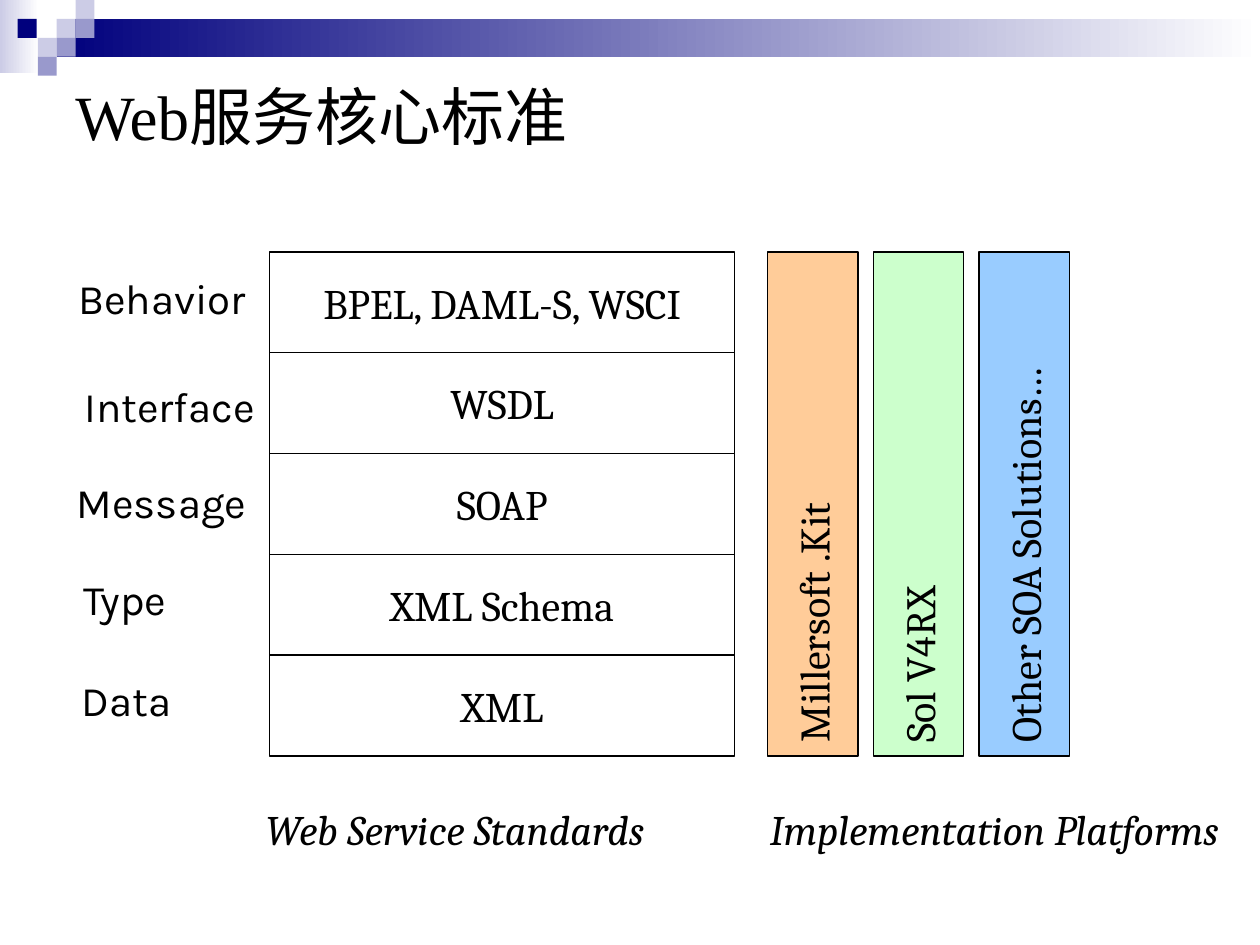
"""Build a slide of the core web service standards beside their implementation platforms."""
from dataclasses import dataclass

from pptx import Presentation
from pptx.dml.color import RGBColor
from pptx.enum.shapes import MSO_SHAPE as Shape
from pptx.enum.text import MSO_ANCHOR as Anchor, PP_ALIGN as Align
from pptx.util import Inches, Pt


@dataclass(frozen=True)
class Theme:
    ink: str = "000000"
    white: str = "FFFFFF"
    navy: str = "00007D"
    lilac: str = "CCCCE6"
    violet: str = "9999CC"
    orange: str = "FFCC99"
    green: str = "CCFFCC"
    blue: str = "99CCFF"
    title_font: str = "Times New Roman"
    label_font: str = "Karla"
    body_font: str = "Cambria"
    title_size: int = 36
    body_size: int = 24
    outline: float = 0.75


theme = Theme()


def add_box(left, top, width, height, colors=(), outlined=False):
    box = slide.shapes.add_shape(
        Shape.RECTANGLE, Inches(left), Inches(top), Inches(width), Inches(height))
    box.shadow.inherit = False
    if len(colors) == 2:
        box.fill.gradient()
        box.fill.gradient_angle = 0
        for stop, color in zip(box.fill.gradient_stops, colors):
            stop.color.rgb = RGBColor.from_string(color)
    elif colors:
        box.fill.solid()
        box.fill.fore_color.rgb = RGBColor.from_string(colors[0])
    else:
        box.fill.background()
    if outlined:
        box.line.color.rgb = RGBColor.from_string(theme.ink)
        box.line.width = Pt(theme.outline)
    else:
        box.line.fill.background()
    return box


def write(shape, text, font=theme.body_font, size=theme.body_size, italic=False,
          align=Align.LEFT, anchor=Anchor.TOP, inset_x=0.11, inset_y=0.05):
    frame = shape.text_frame
    frame.word_wrap = True
    frame.vertical_anchor = anchor
    frame.margin_left = frame.margin_right = Inches(inset_x)
    frame.margin_top = frame.margin_bottom = Inches(inset_y)
    frame.text = text
    paragraph = frame.paragraphs[0]
    paragraph.alignment = align
    run_font = paragraph.runs[0].font
    run_font.name = font
    run_font.size = Pt(size)
    run_font.italic = italic
    run_font.color.rgb = RGBColor.from_string(theme.ink)


deck = Presentation()
deck.slide_width = Inches(10)
deck.slide_height = Inches(7.5)
slide = deck.slides.add_slide(deck.slide_layouts[6])

add_box(0, 0, 0.31, 0.58, (theme.lilac, theme.white))
add_box(0.45, 0.15, 9.55, 0.3, (theme.navy, theme.white))
tile = 0.15
for left, top, color in [
    (0.45, 0.15, theme.lilac),
    (0.6, 0, theme.lilac),
    (0.6, 0.15, theme.violet),
    (0.3, 0.3, theme.lilac),
    (0.14, 0.15, theme.navy),
    (0.45, 0.3, theme.violet),
    (0.3, 0.45, theme.violet),
]:
    add_box(left, top, tile, tile, (color,))

title = slide.shapes.add_textbox(Inches(0.5), Inches(0.5), Inches(9), Inches(0.83))
write(title, "Web服务核心标准", theme.title_font, theme.title_size,
      anchor=Anchor.MIDDLE, inset_x=0.1)

for name, left, top, width in [
    ("Behavior", 0.51, 2.11, 1.69),
    ("Interface", 0.56, 2.97, 1.87),
    ("Message", 0.5, 3.73, 1.6),
    ("Type", 0.55, 4.5, 0.96),
    ("Data", 0.54, 5.3, 0.95),
]:
    layer = slide.shapes.add_textbox(Inches(left), Inches(top), Inches(width), Inches(0.51))
    write(layer, name, theme.label_font)

row_height = 0.8
for row, name in enumerate(["BPEL, DAML-S, WSCI", "WSDL", "SOAP", "XML Schema", "XML"]):
    standard = add_box(2.14, 2 + row * row_height, 3.69, row_height, outlined=True)
    write(standard, name, align=Align.CENTER, anchor=Anchor.MIDDLE)

for column, (name, color) in enumerate([
    ("Millersoft .Kit", theme.orange),
    ("Sol V4RX", theme.green),
    ("Other SOA Solutions…", theme.blue),
]):
    platform = add_box(4.45 + column * 0.84, 3.64, 4, 0.72, (color,), outlined=True)
    platform.rotation = 270
    write(platform, name, inset_y=0.16)

for name, left, width, height in [
    ("Web Service Standards", 2, 3.79, 0.51),
    ("Implementation Platforms", 6, 4.08, 0.91),
]:
    caption = slide.shapes.add_textbox(
        Inches(left), Inches(6.33), Inches(width), Inches(height))
    write(caption, name, italic=True)

deck.save("out.pptx")
